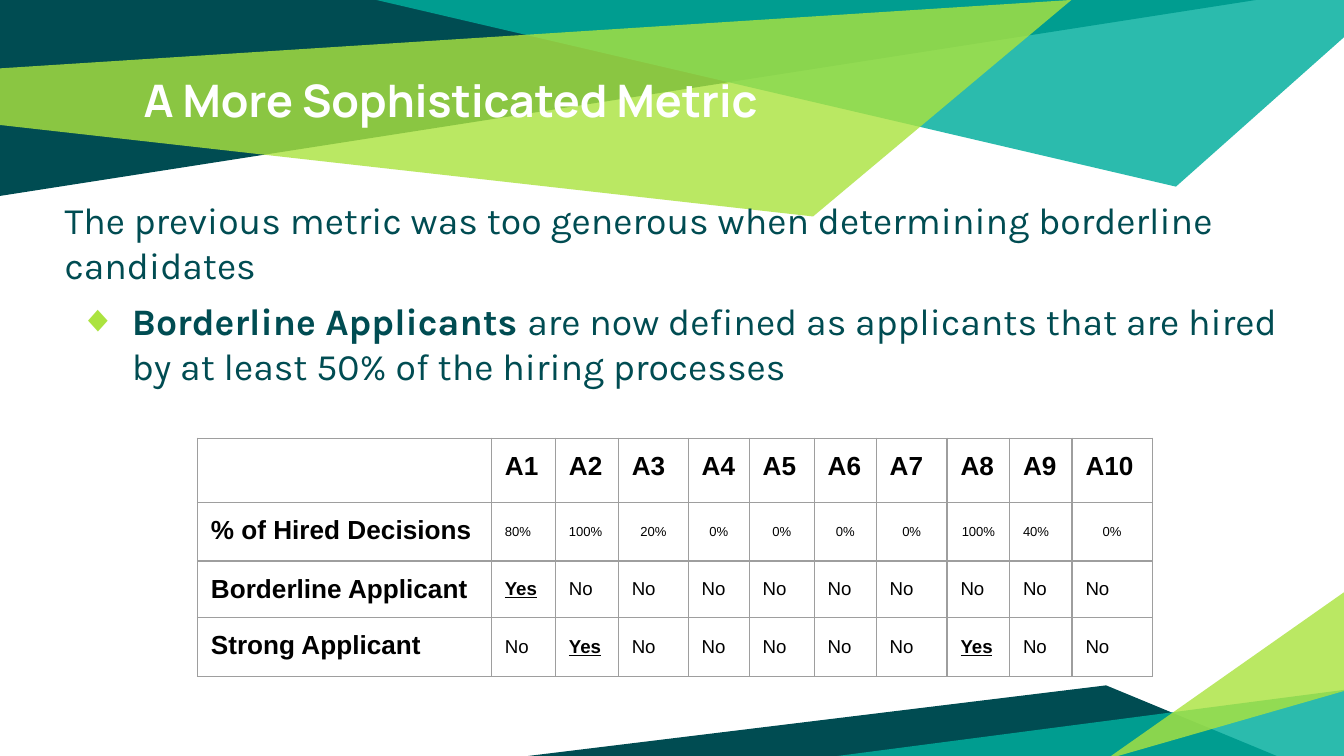
import dataclasses

import lxml.etree
import pptx
import pptx.dml.color
import pptx.enum.text
import pptx.oxml.ns
import pptx.util

Pt = pptx.util.Pt
ALIGN = pptx.enum.text.PP_ALIGN
ANCHOR = pptx.enum.text.MSO_ANCHOR


@dataclasses.dataclass(frozen=True)
class Theme:
    """Colours, fonts and type sizes of the slide."""
    dark: str = "004C52"
    teal: str = "00AE9D"
    lime: str = "ABE33F"
    white: str = "FFFFFF"
    black: str = "000000"
    grid: str = "9E9E9E"
    head_font: str = "Manrope"
    body_font: str = "Karla"
    cell_font: str = "Arial"
    title: int = 24
    body: int = 20
    label: int = 14
    mark: int = 10
    share: int = 7


THEME = Theme()
INSET = 7.2

# Colour, opacity in percent, corner points
BANDS = [
    (THEME.dark, 100, [(0, 0), (0, 105), (673, 0)]),
    (THEME.teal, 83, [(201.6, 0), (630, 100), (720, 20), (720, 0)]),
    (THEME.lime, 81, [(-0.5, 36.7), (0, 67), (435.6, 116), (574, 0)]),
    (THEME.dark, 100, [(283, 405), (684, 405), (592.6, 367.2)]),
    (THEME.teal, 83, [(721.4, 369.4), (721.4, 406.8), (434.9, 406.8)]),
    (THEME.lime, 81, [(720.7, 370), (720.7, 316.8), (592.6, 406.8)]),
]
WIDTHS = [157.5, 34.3, 33.7, 37.5, 32.7, 34.8, 33.2, 38, 33.5, 33.5, 42.9]
HEIGHTS = [34.3, 31.6, 30.2, 31.6]
SHARES = [80, 100, 20, 0, 0, 0, 0, 100, 40, 0]
LEFT_SHARES = {1, 2, 9}


def paint(color):
    """Turn a hex string into a colour."""
    return pptx.dml.color.RGBColor.from_string(color)


def add_node(parent, tag, **attrs):
    """Append an XML child with the given attributes."""
    node = lxml.etree.SubElement(parent, pptx.oxml.ns.qn(tag))
    for name, value in attrs.items():
        node.set(name, str(value))
    return node


def add_run(para, text, font, size, color, bold=False, under=False):
    """Add one formatted run."""
    run = para.add_run()
    run.text = text
    run.font.name = font
    run.font.size = Pt(size)
    run.font.bold = bold
    run.font.underline = under
    run.font.color.rgb = paint(color)


def add_band(slide, color, solid, points):
    """Draw one flat polygon."""
    spots = [(Pt(x), Pt(y)) for x, y in points]
    pen = slide.shapes.build_freeform(*spots[0], scale=1.0)
    pen.add_line_segments(spots[1:], close=True)
    band = pen.convert_to_shape()
    band.shadow.inherit = False
    band.line.fill.background()
    band.fill.solid()
    band.fill.fore_color.rgb = paint(color)
    if solid < 100:
        tint = band.fill._xPr.find(".//" + pptx.oxml.ns.qn("a:srgbClr"))
        add_node(tint, "a:alpha", val=solid * 1000)


def place(slide, holder, left, top, width, height):
    """Move a placeholder to the front and return its text frame."""
    holder.left, holder.top = Pt(left), Pt(top)
    holder.width, holder.height = Pt(width), Pt(height)
    slide.shapes._spTree.append(holder._element)
    frame = holder.text_frame
    frame.word_wrap = True
    frame.auto_size = pptx.enum.text.MSO_AUTO_SIZE.NONE
    frame.vertical_anchor = ANCHOR.TOP
    frame.margin_left = frame.margin_right = Pt(INSET)
    frame.margin_top = frame.margin_bottom = Pt(INSET)
    return frame


def add_title(slide):
    """Fill the title."""
    frame = place(slide, slide.shapes.title, 69.8, 31.7, 580.3, 67.7)
    para = frame.paragraphs[0]
    para.alignment = ALIGN.LEFT
    add_run(para, "A More Sophisticated Metric", THEME.head_font,
            THEME.title, THEME.white, bold=True)


def add_point(para, parts, bullet=None):
    """Fill a body paragraph from (text, bold) parts."""
    para.alignment = ALIGN.LEFT
    para.space_before = Pt(6)
    props = para._p.get_or_add_pPr()
    props.set("marL", str(Pt(36 if bullet else 0)))
    props.set("indent", str(Pt(-28) if bullet else 0))
    if bullet:
        add_node(add_node(props, "a:buClr"), "a:srgbClr", val=THEME.lime)
        add_node(props, "a:buChar", char=bullet)
    else:
        add_node(props, "a:buNone")
    for text, bold in parts:
        add_run(para, text, THEME.body_font, THEME.body, THEME.dark, bold)


def add_body(slide):
    """Fill the body with its lead line and bullet."""
    frame = place(slide, slide.placeholders[1], 27.4, 98.6, 682.6, 121)
    add_point(frame.paragraphs[0], [
        ("The previous metric was too generous when determining "
         "borderline candidates", False)])
    add_point(frame.add_paragraph(), [
        ("Borderline Applicants ", True),
        ("are now defined as applicants that are hired by at least 50% "
         "of the hiring processes", False)], bullet="\u25c6")


def style_cell(cell):
    """Clear the fill, set margins and draw the four borders."""
    cell.margin_left = cell.margin_right = Pt(INSET)
    cell.margin_top = cell.margin_bottom = Pt(INSET)
    props = cell._tc.get_or_add_tcPr()
    for side in ("a:lnL", "a:lnR", "a:lnT", "a:lnB"):
        edge = add_node(props, side, w=Pt(0.75))
        add_node(add_node(edge, "a:solidFill"), "a:srgbClr", val=THEME.grid)
    cell.fill.background()


def fill_cell(cell, row, col, text):
    """Write a cell in the style of its row and column."""
    style_cell(cell)
    para = cell.text_frame.paragraphs[0]
    label = row == 0 or col == 0
    if not text:
        add_node(para._p, "a:endParaRPr", sz=THEME.label * 100)
        return
    share = row == 1 and not label
    yes = text == "Yes"
    size = THEME.label if label else THEME.share if share else THEME.mark
    cell.vertical_anchor = ANCHOR.TOP if label else ANCHOR.MIDDLE
    center = share and col not in LEFT_SHARES
    para.alignment = ALIGN.CENTER if center else ALIGN.LEFT
    add_run(para, text, THEME.cell_font, size, THEME.black, label or yes, yes)


def add_grid(slide):
    """Add the table of hiring results."""
    count = len(SHARES)
    rows = [
        [""] + [f"A{n}" for n in range(1, count + 1)],
        ["% of Hired Decisions"] + [f"{share}%" for share in SHARES],
        ["Borderline Applicant"]
        + ["Yes" if 50 <= share < 100 else "No" for share in SHARES],
        ["Strong Applicant"]
        + ["Yes" if share == 100 else "No" for share in SHARES],
    ]
    table = slide.shapes.add_table(
        len(rows), count + 1, Pt(105.8), Pt(234.7),
        Pt(sum(WIDTHS)), Pt(sum(HEIGHTS))).table
    table.first_row = table.horz_banding = False
    for column, width in zip(table.columns, WIDTHS):
        column.width = Pt(width)
    for line, height in zip(table.rows, HEIGHTS):
        line.height = Pt(height)
    for row, texts in enumerate(rows):
        for col, text in enumerate(texts):
            fill_cell(table.cell(row, col), row, col, text)


def main():
    """Build and save the slide."""
    deck = pptx.Presentation()
    deck.slide_width, deck.slide_height = Pt(720), Pt(405)
    slide = deck.slides.add_slide(deck.slide_layouts[1])
    for band in BANDS:
        add_band(slide, *band)
    add_title(slide)
    add_body(slide)
    add_grid(slide)
    deck.save("out.pptx")


main()
